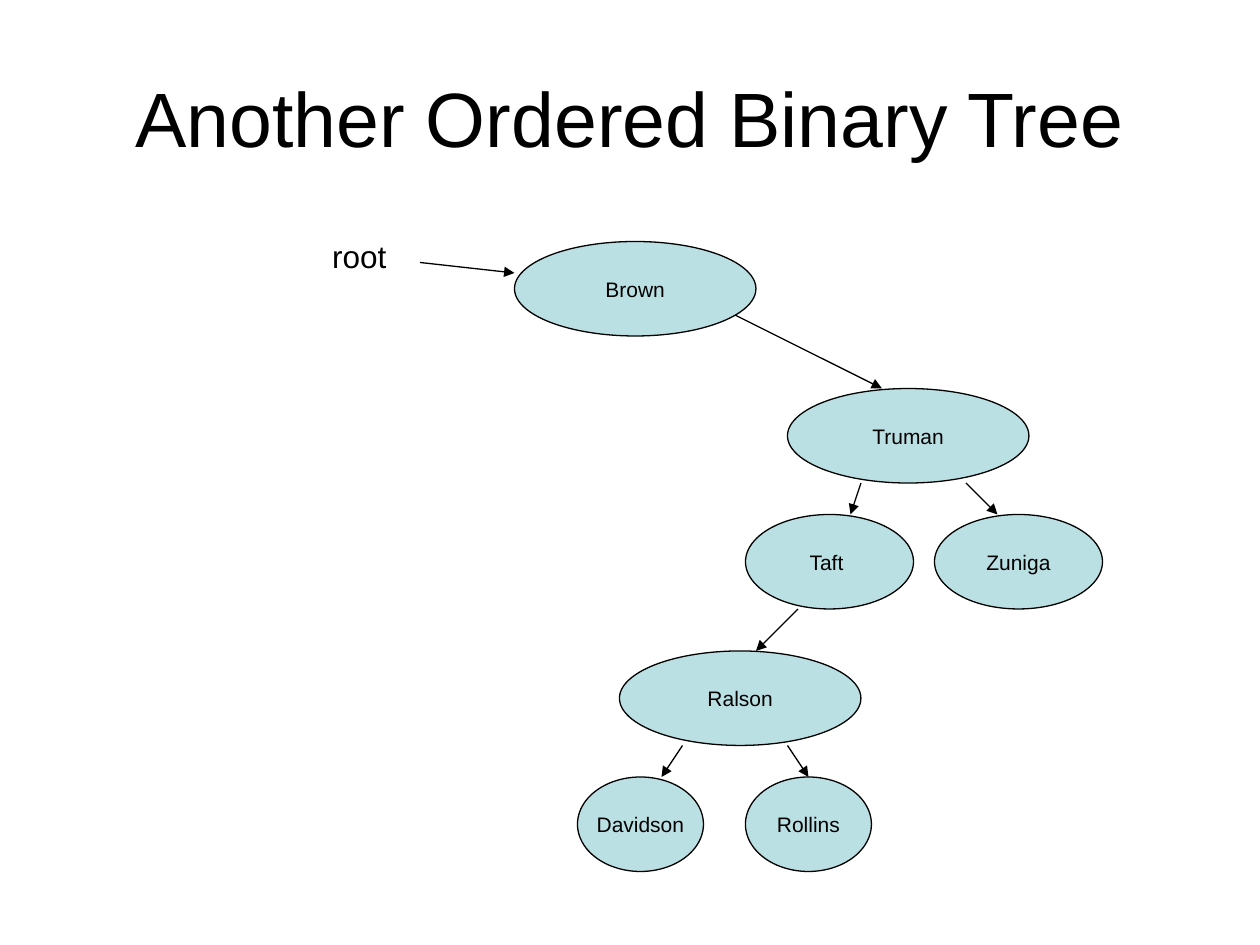
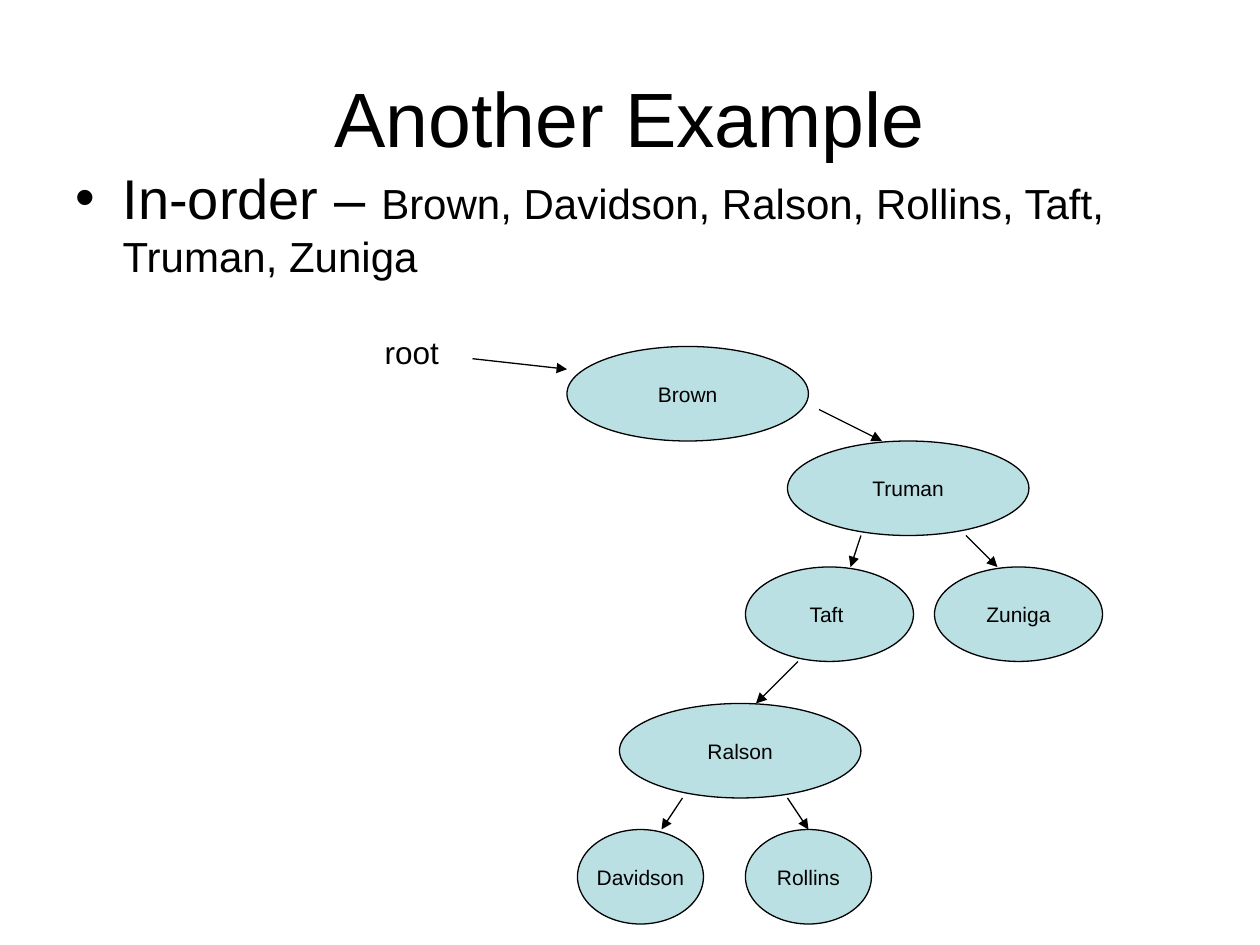
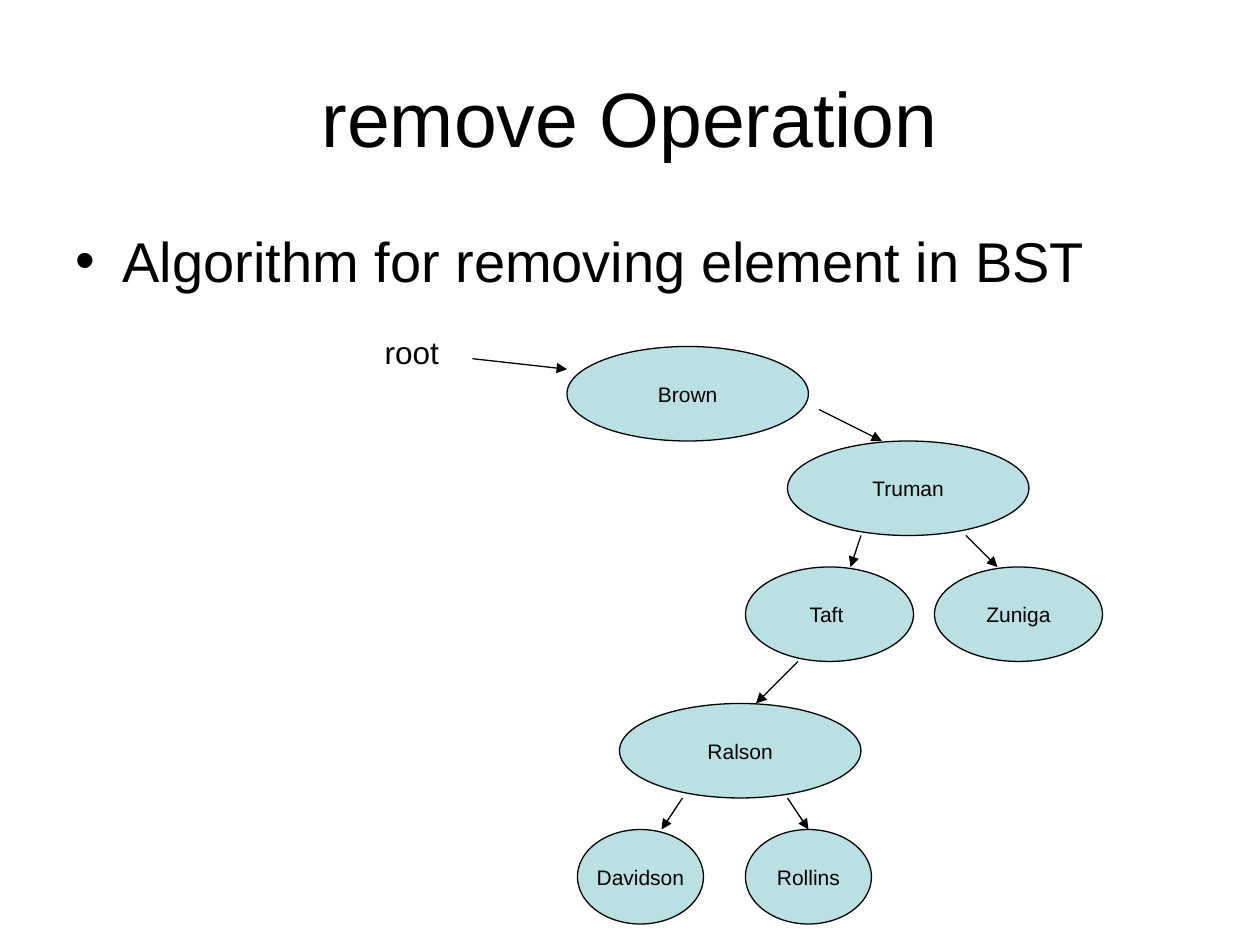
import pptx
import pptx.util
import pptx.dml.color
import pptx.enum.shapes
import pptx.enum.text
from lxml import etree

Pt = pptx.util.Pt
ALIGN = pptx.enum.text.PP_ALIGN
ANCHOR = pptx.enum.text.MSO_ANCHOR
FIT = pptx.enum.text.MSO_AUTO_SIZE

FONT = "Arial"
INK = "000000"
NODE_FILL = "BBE0E3"
LINE_WIDTH = 0.75
NODE_HEIGHT = 54

# Nodes below the root: left, distance below the top of Truman, width
LOWER_NODES = {
    "Ralson": (354, 150, 138),
    "Truman": (450, 0, 138),
    "Taft ": (426, 72, 96),
    "Zuniga": (534, 72, 96),
    "Rollins": (426, 222, 72),
    "Davidson": (330, 222, 72),
}
# Parent, child, x at the parent's bottom, x at the child's top
BRANCHES = [
    ("Taft ", "Ralson", 456, 432),
    ("Ralson", "Davidson", 390, 378),
    ("Ralson", "Rollins", 450, 462),
    ("Truman", "Taft ", 492, 486),
    ("Truman", "Zuniga", 552, 570),
]
ROOT_WIDTH = 138
TRUMAN_ENTRY = 504

SPREAD_TREE = {"brown": (294, 138), "truman_top": 222,
               "branch_start": (420, 180), "pointer_drop": 12}
COMPACT_TREE = {"brown": (324, 198), "truman_top": 252,
                "branch_start": (468, 234), "pointer_drop": 7}

SLIDES = [
    {"title": "Another Ordered Binary Tree", "tree": SPREAD_TREE},
    {"title": "Another Example", "tree": COMPACT_TREE, "bullet_top": 90,
     "bullet": [("In-order – ", 32),
                ("Brown, Davidson, Ralson, Rollins, Taft, Truman, Zuniga", 24)]},
    {"title": "remove Operation", "tree": COMPACT_TREE, "bullet_top": 126,
     "bullet": [("Algorithm for removing element in BST", 32)]},
]


def color(value):
    return pptx.dml.color.RGBColor.from_string(value)


def add_runs(paragraph, runs):
    for words, size in runs:
        run = paragraph.add_run()
        run.text = words
        run.font.name = FONT
        run.font.size = Pt(size)
        run.font.color.rgb = color(INK)


def add_text(slide, box, runs, align=ALIGN.LEFT, anchor=ANCHOR.TOP, wrap=True):
    frame = slide.shapes.add_textbox(*map(Pt, box)).text_frame
    frame.word_wrap = wrap
    frame.vertical_anchor = anchor
    frame.paragraphs[0].alignment = align
    add_runs(frame.paragraphs[0], runs)
    return frame


def add_title(slide, title):
    add_text(slide, (36, 21.6, 648, 90), [(title, 44)], ALIGN.CENTER, ANCHOR.MIDDLE)


def add_bullet(slide, top, runs):
    paragraph = add_text(slide, (36, top, 648, 356.4), runs).paragraphs[0]
    properties = paragraph._p.get_or_add_pPr()
    properties.set("marL", str(Pt(27)))
    properties.set("indent", str(-Pt(27)))
    etree.SubElement(properties, pptx.oxml.ns.qn("a:buFont"), typeface=FONT)
    etree.SubElement(properties, pptx.oxml.ns.qn("a:buChar"), char="•")


def add_node(slide, name, left, top, width):
    node = slide.shapes.add_shape(pptx.enum.shapes.MSO_SHAPE.OVAL,
                                  Pt(left), Pt(top), Pt(width), Pt(NODE_HEIGHT))
    node.shadow.inherit = False
    node.fill.solid()
    node.fill.fore_color.rgb = color(NODE_FILL)
    node.line.color.rgb = color(INK)
    node.line.width = Pt(LINE_WIDTH)
    frame = node.text_frame
    frame.word_wrap = False
    frame.vertical_anchor = ANCHOR.MIDDLE
    frame.paragraphs[0].alignment = ALIGN.CENTER
    add_runs(frame.paragraphs[0], [(name, 12)])


def add_arrow(slide, start, end):
    arrow = slide.shapes.add_connector(pptx.enum.shapes.MSO_CONNECTOR.STRAIGHT,
                                       *map(Pt, start + end))
    arrow.line.color.rgb = color(INK)
    arrow.line.width = Pt(LINE_WIDTH)
    etree.SubElement(arrow.line._get_or_add_ln(), pptx.oxml.ns.qn("a:tailEnd"),
                     type="triangle")
    etree.SubElement(arrow._element.spPr, pptx.oxml.ns.qn("a:effectLst"))


def add_tree(slide, tree):
    brown_left, brown_top = tree["brown"]
    truman_top = tree["truman_top"]
    for name, (left, drop, width) in LOWER_NODES.items():
        add_node(slide, name, left, truman_top + drop, width)
    add_node(slide, "Brown", brown_left, brown_top, ROOT_WIDTH)

    for parent, child, start_x, end_x in BRANCHES:
        parent_bottom = truman_top + LOWER_NODES[parent][1] + NODE_HEIGHT
        child_top = truman_top + LOWER_NODES[child][1]
        add_arrow(slide, (start_x, parent_bottom), (end_x, child_top))
    add_arrow(slide, tree["branch_start"], (TRUMAN_ENTRY, truman_top))

    pointer_left, pointer_top = brown_left - 54, brown_top + tree["pointer_drop"]
    add_arrow(slide, (pointer_left, pointer_top), (brown_left, pointer_top + 6))
    label = add_text(slide, (pointer_left - 57.3, pointer_top - 18, 45.4, 28.8),
                     [("root", 18)], wrap=False)
    label.auto_size = FIT.SHAPE_TO_FIT_TEXT


def main():
    deck = pptx.Presentation()
    deck.slide_width, deck.slide_height = Pt(720), Pt(540)
    for content in SLIDES:
        slide = deck.slides.add_slide(deck.slide_layouts[6])
        add_title(slide, content["title"])
        if "bullet" in content:
            add_bullet(slide, content["bullet_top"], content["bullet"])
        add_tree(slide, content["tree"])
    deck.save("out.pptx")


if __name__ == "__main__":
    main()
